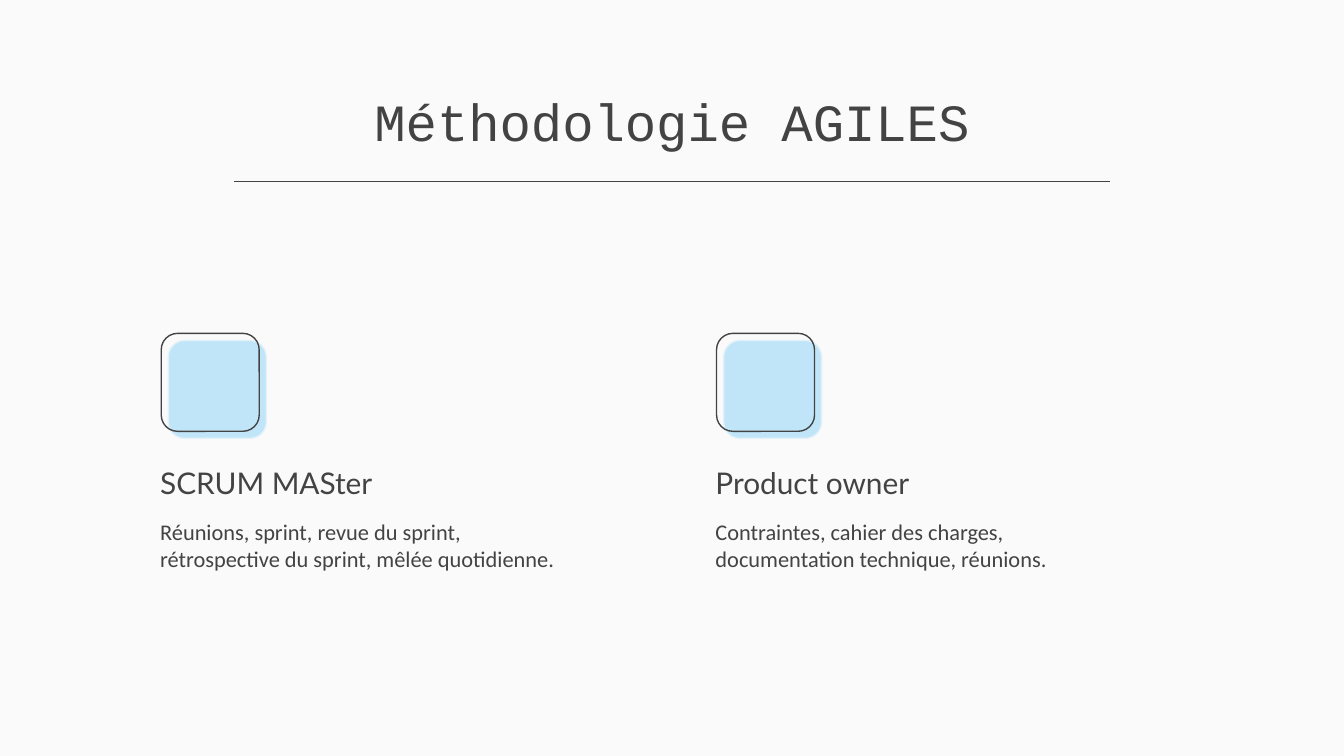
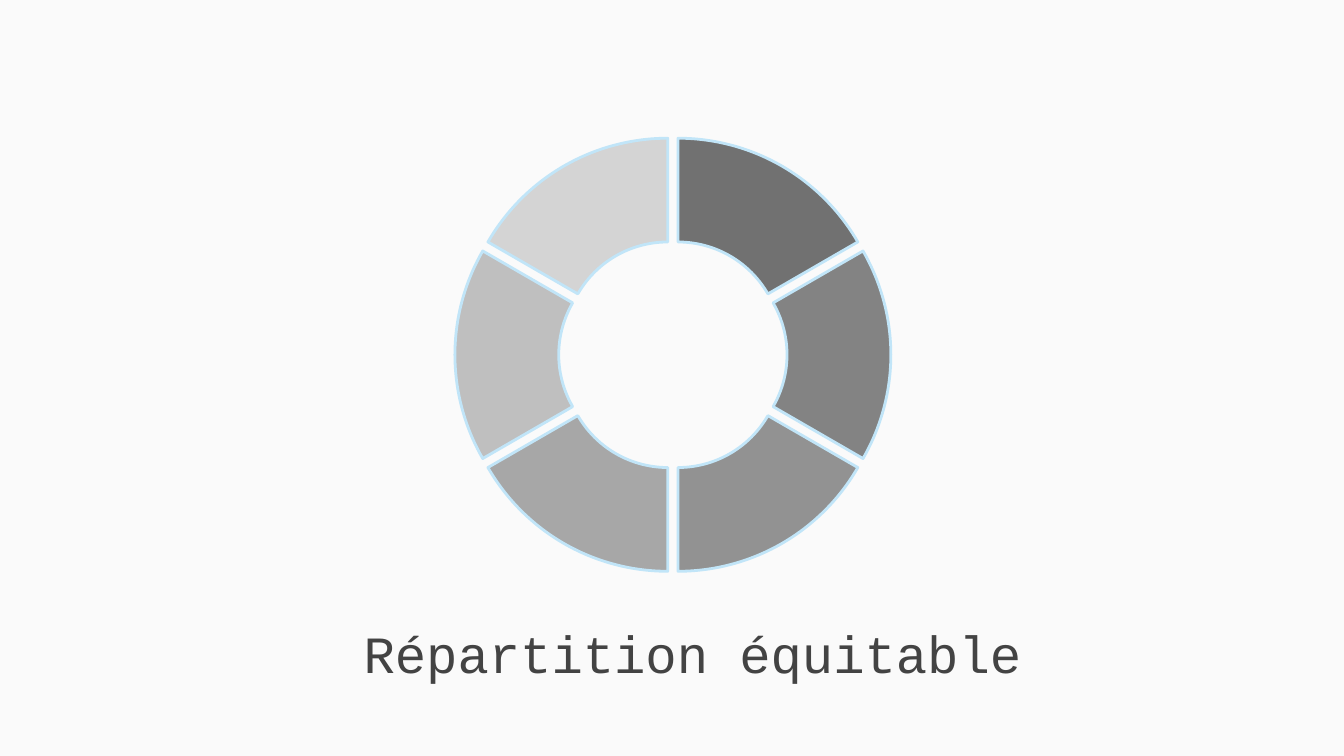
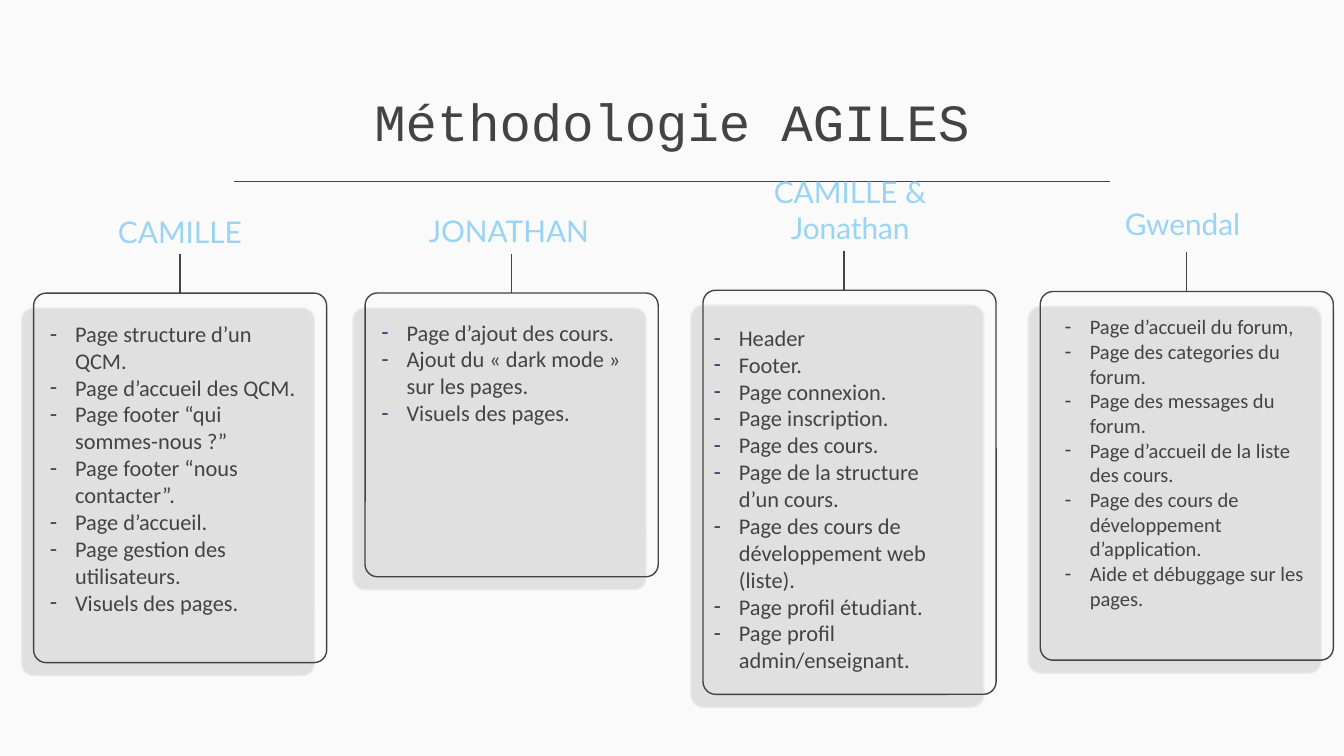
from dataclasses import dataclass

from lxml.etree import SubElement
from pptx import Presentation
from pptx.chart.data import CategoryChartData
from pptx.dml.color import RGBColor
from pptx.enum.chart import XL_CHART_TYPE
from pptx.enum.shapes import MSO_CONNECTOR, MSO_SHAPE
from pptx.enum.text import MSO_ANCHOR, MSO_AUTO_SIZE, PP_ALIGN
from pptx.oxml.ns import qn
from pptx.util import Pt

PAPER, INK, SKY, SKY_TEXT = "FAFAFA", "434343", "C1E5F8", "99D4F4"
SKY_EDGE, PANEL, PANEL_EDGE, NAVY = "E3F1F9", "E0E0E0", "EBEBEB", "2D406A"
RING_GREYS = ["717171", "838383", "929292", "A7A7A7", "BFBFBF", "D4D4D4"]

TITLE = {"name": "Courier New", "size": Pt(28)}
HEADING = {"name": "Lato", "size": Pt(16)}
BODY = {"name": "Calibri", "size": Pt(12)}
SMALL_BODY = {"name": "Calibri", "size": Pt(11)}

COMPARISON_LAYOUT, TITLE_ONLY_LAYOUT = 4, 5
LIST_INDENT = Pt(13.5)


def color(hex_code):
    return RGBColor.from_string(hex_code)


def set_bullet(para, bullet_color):
    """Give the paragraph a hanging dash, or no bullet when there is no colour."""
    properties = para._p.get_or_add_pPr()
    indent = LIST_INDENT if bullet_color else 0
    properties.set("marL", str(indent))
    properties.set("indent", str(-indent))
    if bullet_color:
        bullet = SubElement(properties, qn("a:buClr"))
        SubElement(bullet, qn("a:srgbClr")).set("val", bullet_color)
        SubElement(properties, qn("a:buChar")).set("char", "-")
    else:
        SubElement(properties, qn("a:buNone"))


def write(box, area, lines, style, ink=INK, align=PP_ALIGN.LEFT,
          anchor=MSO_ANCHOR.TOP, bullet_color=None):
    """Place a text box or placeholder in front of the page and fill it."""
    box._element.getparent().append(box._element)
    box.left, box.top, box.width, box.height = map(Pt, area)
    frame = box.text_frame
    frame_format = {"word_wrap": True, "auto_size": MSO_AUTO_SIZE.NONE,
                    "vertical_anchor": anchor}
    for side in ("left", "top", "right", "bottom"):
        frame_format[f"margin_{side}"] = Pt(7.2)
    for key, value in frame_format.items():
        setattr(frame, key, value)
    for number, line in enumerate(lines):
        para = frame.add_paragraph() if number else frame.paragraphs[0]
        para.alignment = align
        para.space_before = para.space_after = Pt(0)
        set_bullet(para, bullet_color)
        span = para.add_run()
        span.text = line
        for key, value in {**style, "bold": False}.items():
            setattr(span.font, key, value)
        span.font.color.rgb = color(ink)


def add_round_box(page, area, corner, edge, fill=None):
    box = page.shapes.add_shape(MSO_SHAPE.ROUNDED_RECTANGLE, *map(Pt, area))
    box.shadow.inherit = False
    box.adjustments[0] = corner
    if fill:
        box.fill.solid()
        box.fill.fore_color.rgb = color(fill)
    else:
        box.fill.background()
    box.line.color.rgb = color(edge)
    box.line.width = Pt(0.75)


def add_line(page, start, end, width=0.75):
    line = page.shapes.add_connector(MSO_CONNECTOR.STRAIGHT, *map(Pt, start + end))
    line.line.color.rgb = color(INK)
    line.line.width = Pt(width)
    SubElement(line._element.spPr, qn("a:effectLst"))


def write_title(page, text, left, top):
    write(page.shapes.title, (left, top, 371, 25), [text], TITLE,
          align=PP_ALIGN.CENTER, anchor=MSO_ANCHOR.BOTTOM)


def add_page(deck, layout):
    return deck.slides.add_slide(deck.slide_layouts[layout])


def add_agile_page(deck):
    """Add a page with the underlined title; return it and its four placeholders."""
    page = add_page(deck, COMPARISON_LAYOUT)
    write_title(page, "Méthodologie AGILES", 174.5, 63.5)
    add_line(page, (125.3, 97.2), (594.7, 97.2), 1)
    return page, list(page.placeholders)[1:]


def add_role(page, left, top, heading_box, body_box, heading, body):
    add_round_box(page, (left + 3.8, top + 3.8, 52.5, 52.5), 0.167, SKY_EDGE, SKY)
    add_round_box(page, (left, top, 52.5, 52.5), 0.167, INK)
    write(heading_box, (left - 7.8, top + 67, 200, 30), [heading], HEADING,
          anchor=MSO_ANCHOR.BOTTOM)
    write(body_box, (left - 7.8, top + 91.8, 232, 65.5), [body], BODY)


def build_roles(deck):
    page, boxes = add_agile_page(deck)
    roles = [
        ("SCRUM MASter", "Réunions, sprint, revue du sprint, "
         "rétrospective du sprint, mêlée quotidienne."),
        ("Product owner", "Contraintes, cahier des charges, "
         "documentation technique, réunions."),
    ]
    for number, (heading, body) in enumerate(roles):
        add_role(page, 86.4 + 297.5 * number, 178.6,
                 *boxes[2 * number:2 * number + 2], heading, body)


def add_ring(page, area):
    data = CategoryChartData()
    data.categories = [str(number + 1) for number in range(len(RING_GREYS))]
    data.add_series("Series 1", [17] * len(RING_GREYS))
    chart = page.shapes.add_chart(
        XL_CHART_TYPE.DOUGHNUT_EXPLODED, *map(Pt, area), data).chart
    chart.has_legend = chart.has_title = False
    chart.font.name, chart.font.size = "Arial", Pt(10)
    chart.font.color.rgb = color(PAPER)
    plot = chart.plots[0]
    plot.vary_by_categories = True
    series = plot.series[0]
    for number, grey in enumerate(RING_GREYS):
        part = series.points[number].format
        part.fill.solid()
        part.fill.fore_color.rgb = color(grey)
        part.line.color.rgb = color(SKY)
        part.line.width = Pt(1.5)
    for old in series._element.findall(qn("c:explosion")):
        series._element.remove(old)
    explosion = series._element.makeelement(qn("c:explosion"), {"val": "10"})
    series._element.find(qn("c:dPt")).addprevious(explosion)
    plot._element.find(qn("c:holeSize")).set("val", "75")


def build_sharing(deck):
    page = add_page(deck, TITLE_ONLY_LAYOUT)
    add_ring(page, (170, 63.4, 381, 253.4))
    write_title(page, "Répartition équitable", 185.5, 348.5)


@dataclass
class Member:
    """One card; the offsets are measured from its outline's top left corner."""
    name: str
    tasks: list
    left: float
    top: float
    height: float
    list_offset: tuple
    name_offset: tuple
    list_width: float = 144
    name_width: float = 128
    stem: float = 78.5
    style: tuple = (BODY, NAVY)


MEMBERS = [
    Member("CAMILLE", [
        "Page structure d’un QCM.", "Page d’accueil des QCM.",
        "Page footer “qui sommes-nous ?”", "Page footer “nous contacter”.",
        "Page d’accueil.", "Page gestion des utilisateurs.", "Visuels des pages.",
    ], 18, 157, 198, (1.5, 7.2), (14.4, -78.5), list_width=148),
    Member("JONATHAN", [
        "Page d’ajout des cours.", "Ajout du « dark mode » sur les pages.",
        "Visuels des pages.",
    ], 195.6, 157, 152, (1.5, 6.5), (13, -79.2)),
    Member("CAMILLE & Jonathan", [
        "Header", "Footer.", "Page connexion.", "Page inscription.",
        "Page des cours.", "Page de la structure d’un cours.",
        "Page des cours de développement web (liste).",
        "Page profil étudiant.", "Page profil admin/enseignant.",
    ], 376.6, 155.5, 216.5, (-1.5, 10.8), (9.4, -79.2), name_width=139, stem=75.6),
    Member("Gwendal", [
        "Page d’accueil du forum,", "Page des categories du forum.",
        "Page des messages du forum.", "Page d’accueil de la liste des cours.",
        "Page des cours de développement d’application.",
        "Aide et débuggage sur les pages.",
    ], 557.3, 156.2, 197.5, (5.8, 5), (12.2, -82), style=(SMALL_BODY, INK)),
]


def add_member(page, list_box, member):
    left, top, height = member.left, member.top, member.height
    add_round_box(page, (left - 6.5, top + 8, 157, height - 1), 0.043, PANEL_EDGE, PANEL)
    add_round_box(page, (left, top, 157, height), 0.043, INK)
    add_line(page, (left + member.stem, top - 21), (left + member.stem, top))
    right, down = member.list_offset
    style, bullet_color = member.style
    write(list_box, (left + right, top + down, member.list_width, 132),
          member.tasks, style, bullet_color=bullet_color)
    right, down = member.name_offset
    name_box = page.shapes.add_textbox(0, 0, 0, 0)
    write(name_box, (left + right, top + down, member.name_width, 62.6),
          [member.name], HEADING, SKY_TEXT, PP_ALIGN.CENTER, MSO_ANCHOR.BOTTOM)


def build_members(deck):
    page, boxes = add_agile_page(deck)
    for box, member in zip(boxes, MEMBERS):
        add_member(page, box, member)


def main():
    deck = Presentation()
    deck.slide_width, deck.slide_height = Pt(720), Pt(405)
    backdrop = deck.slide_master.background.fill
    backdrop.solid()
    backdrop.fore_color.rgb = color(PAPER)
    build_roles(deck)
    build_sharing(deck)
    build_members(deck)
    deck.save("out.pptx")


if __name__ == "__main__":
    main()
